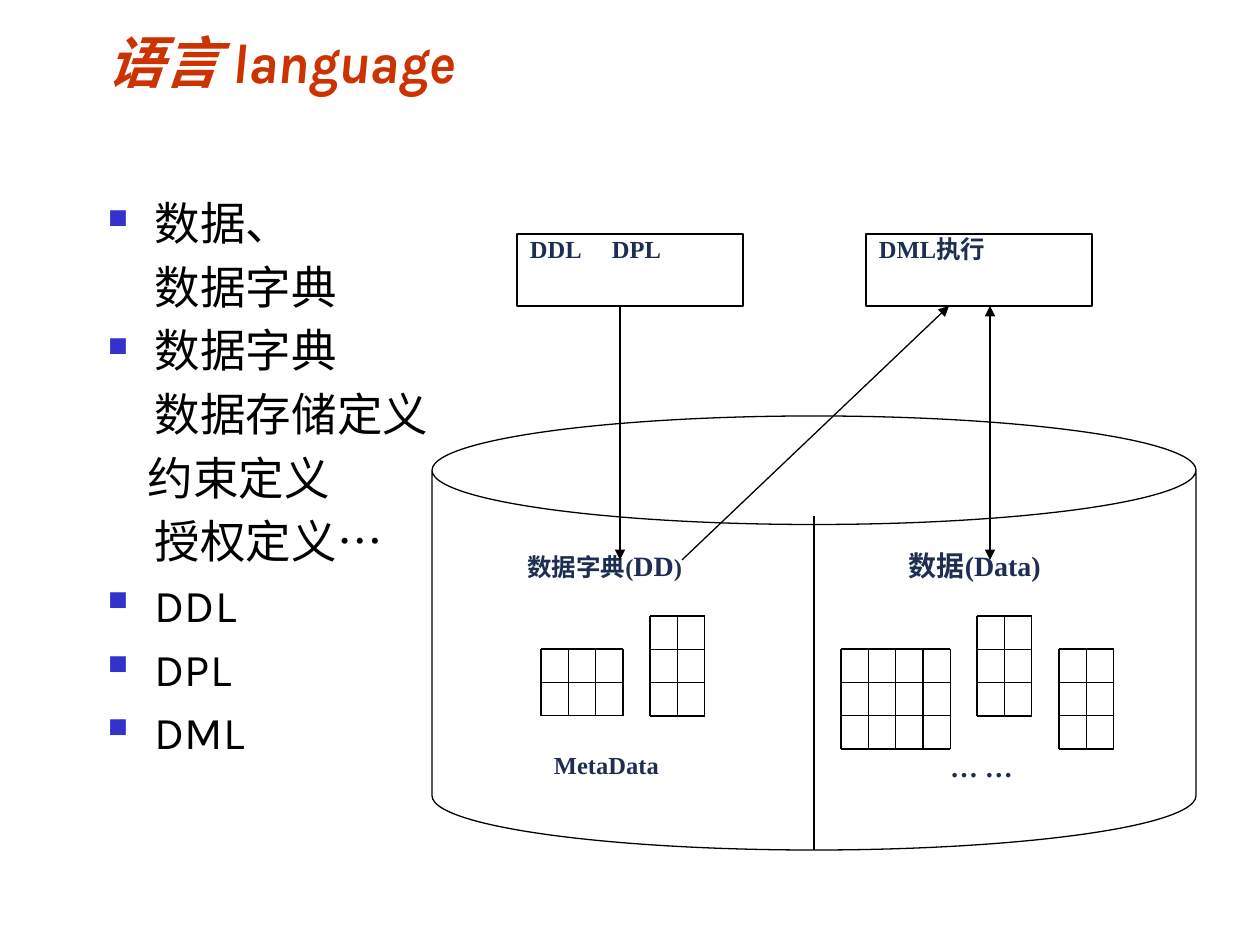
from lxml import etree
from pptx import Presentation, util as u
from pptx.dml.color import RGBColor
from pptx.enum import shapes, text
from pptx.oxml.ns import qn

PX = 914400 / 126
BLACK = RGBColor(0, 0, 0)
WHITE = RGBColor(255, 255, 255)
NAVY = RGBColor(0x1E, 0x2E, 0x53)
RED = RGBColor(0xCC, 0x33, 0x00)
SERIF, SANS = "Times New Roman", "Karla"
RECT = shapes.MSO_SHAPE.RECTANGLE
CAN = shapes.MSO_SHAPE.CAN
JUST = text.PP_ALIGN.JUSTIFY

deck = Presentation()
deck.slide_width, deck.slide_height = u.Inches(10), u.Inches(7.5)
slide = deck.slides.add_slide(deck.slide_layouts[6])


def write(box, lines, size=14, font=SERIF, color=NAVY, bold=True, italic=False,
          align=None, inset=(13, 0), anchor=text.MSO_ANCHOR.TOP, gap=0):
    """Fill a box; each line is a list of strings or (string, size) pairs."""
    frame = box.text_frame
    frame.word_wrap = True
    frame.vertical_anchor = anchor
    frame.margin_left = frame.margin_right = round(inset[0] * PX)
    frame.margin_top = frame.margin_bottom = round(inset[1] * PX)
    for i, line in enumerate(lines):
        para = frame.add_paragraph() if i else frame.paragraphs[0]
        para.alignment = align or text.PP_ALIGN.LEFT
        para.space_before = u.Pt(gap)
        for part in line:
            word, pt = part if isinstance(part, tuple) else (part, size)
            run = para.add_run()
            run.text = word
            run.font.size, run.font.name = u.Pt(pt), font
            run.font.bold, run.font.italic = bold, italic
            run.font.color.rgb = color
    return frame.paragraphs


def draw(x1, y1, x2, y2, head=False, tail=False):
    """Draw a thin black line, with arrowheads at its start and end on demand."""
    line = slide.shapes.add_connector(
        shapes.MSO_CONNECTOR.STRAIGHT, *(round(v * PX) for v in (x1, y1, x2, y2)))
    line.line.color.rgb = BLACK
    line.line.width = u.Pt(0.75)
    stroke = line.line._get_or_add_ln()
    for tag, on in (("a:headEnd", head), ("a:tailEnd", tail)):
        if on:
            etree.SubElement(stroke, qn(tag), type="triangle")
    etree.SubElement(line._element.spPr, qn("a:effectLst"))


# Title and bullet list
title = slide.shapes.add_textbox(*(round(v * PX) for v in (95, 21, 1071, 80)))
write(title, [["语言 language"]], size=32, font=SANS, color=RED, italic=True,
      inset=(13, 6), anchor=text.MSO_ANCHOR.BOTTOM)

# Each item: text, left margin, bulleted
items = [
    ("数据、", 47, True), ("数据字典", 47, False),
    ("数据字典", 47, True), ("数据存储定义", 47, False),
    ("约束定义", 40, False), ("授权定义…", 47, False),
    ("DDL", 47, True), ("DPL", 47, True), ("DML", 47, True),
]
body = slide.shapes.add_textbox(*(round(v * PX) for v in (95, 189, 525, 672)))
paras = write(body, [[item[0]] for item in items], size=26, font=SANS,
              color=BLACK, bold=False, inset=(13, 6), gap=5.2)
for para, (_, left, dot) in zip(paras, items):
    props = para._p.get_or_add_pPr()
    props.set("marL", str(round(left * PX)))
    props.set("indent", str(round(-left * PX) if dot else 0))
    if dot:
        tint = etree.SubElement(props, qn("a:buClr"))
        etree.SubElement(tint, qn("a:srgbClr"), val="3333CC")
        etree.SubElement(props, qn("a:buSzPct"), val="60000")
        etree.SubElement(props, qn("a:buChar"), char="■")

# Store, its divider, and the boxes
# Each box: kind, place, outlined, text, format
boxes = [
    (CAN, (432, 416, 764, 434), True, None, {}),
    (RECT, (514, 549, 246, 67), False, ["数据字典(", ("DD", 16), ")"], dict(align=JUST)),
    (RECT, (541, 750, 191, 67), False, ["MetaData"], dict(align=JUST)),
    (RECT, (896, 549, 191, 67), False, ["数据(Data)"], dict(align=JUST, size=16)),
    (RECT, (950, 750, 82, 67), False, ["… …"], dict(align=JUST, size=16, inset=(0, 0))),
    (RECT, (517, 234, 226, 72), True, ["DDL\tDPL"], {}),
    (RECT, (866, 234, 226, 72), True, ["DML执行"], {}),
]
for kind, place, edge, words, style in boxes:
    box = slide.shapes.add_shape(kind, *(round(v * PX) for v in place))
    box.shadow.inherit = False
    box.fill.solid()
    box.fill.fore_color.rgb = WHITE
    if edge:
        box.line.color.rgb = BLACK
        box.line.width = u.Pt(0.75)
    else:
        box.line.fill.background()
    if kind == CAN:
        box.adjustments[0] = 0.25
        draw(814, 516, 814, 850)
        continue
    para = write(box, [words], **style)[0]
    if "\t" in words[0]:
        tabs = etree.SubElement(para._p.get_or_add_pPr(), qn("a:tabLst"))
        etree.SubElement(tabs, qn("a:tab"), pos=str(round(82 * PX)), algn="l")

# Small tables of lines: left, top, columns, rows
WIDE, HIGH = 82 / 3, 100 / 3
for x, y, cols, rows in [(841, 649, 4, 3), (650, 616, 2, 3), (541, 649, 3, 2),
                         (1059, 649, 2, 3), (977, 616, 2, 3)]:
    for r in range(rows + 1):
        draw(x, y + r * HIGH, x + cols * WIDE, y + r * HIGH)
    for c in range(cols + 1):
        draw(x + c * WIDE, y, x + c * WIDE, y + rows * HIGH)

# Flows between the boxes and the store
draw(620, 306, 620, 560, tail=True)
draw(682, 560, 949, 306, tail=True)
draw(990, 306, 990, 560, head=True, tail=True)

deck.save("out.pptx")
